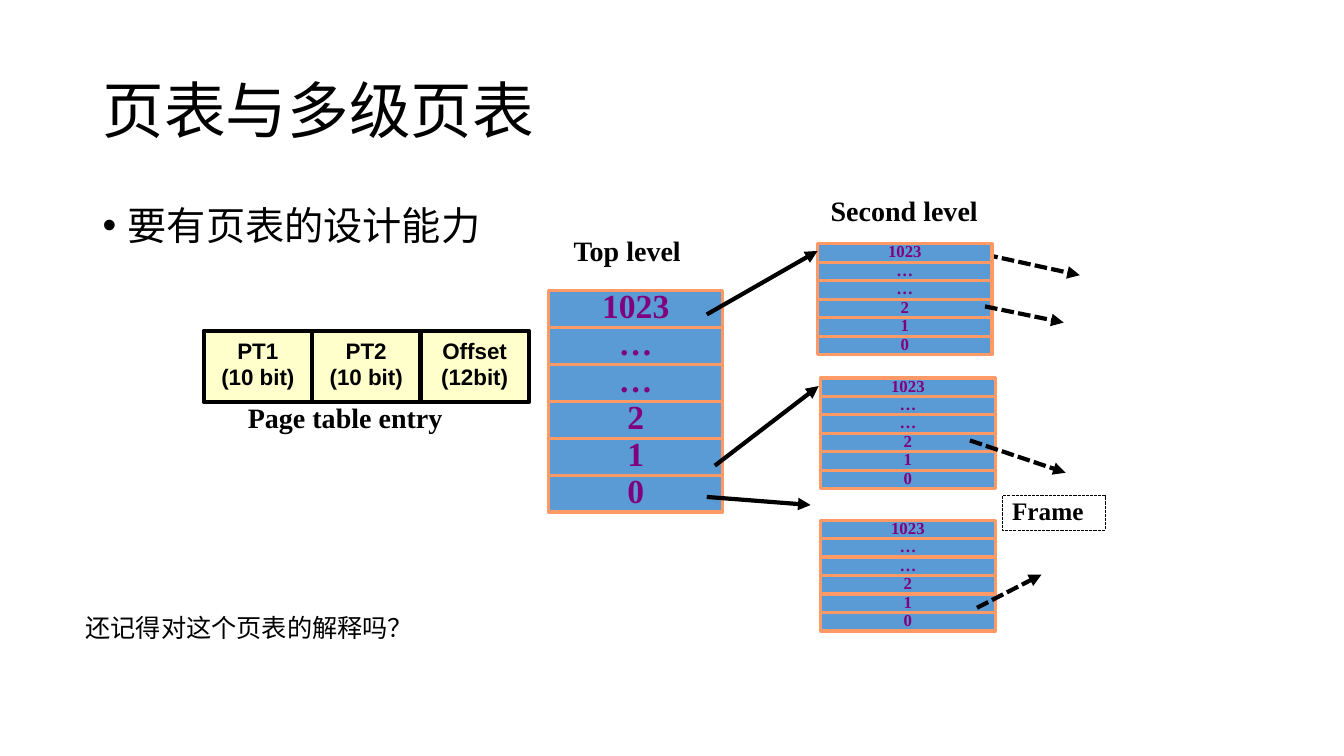
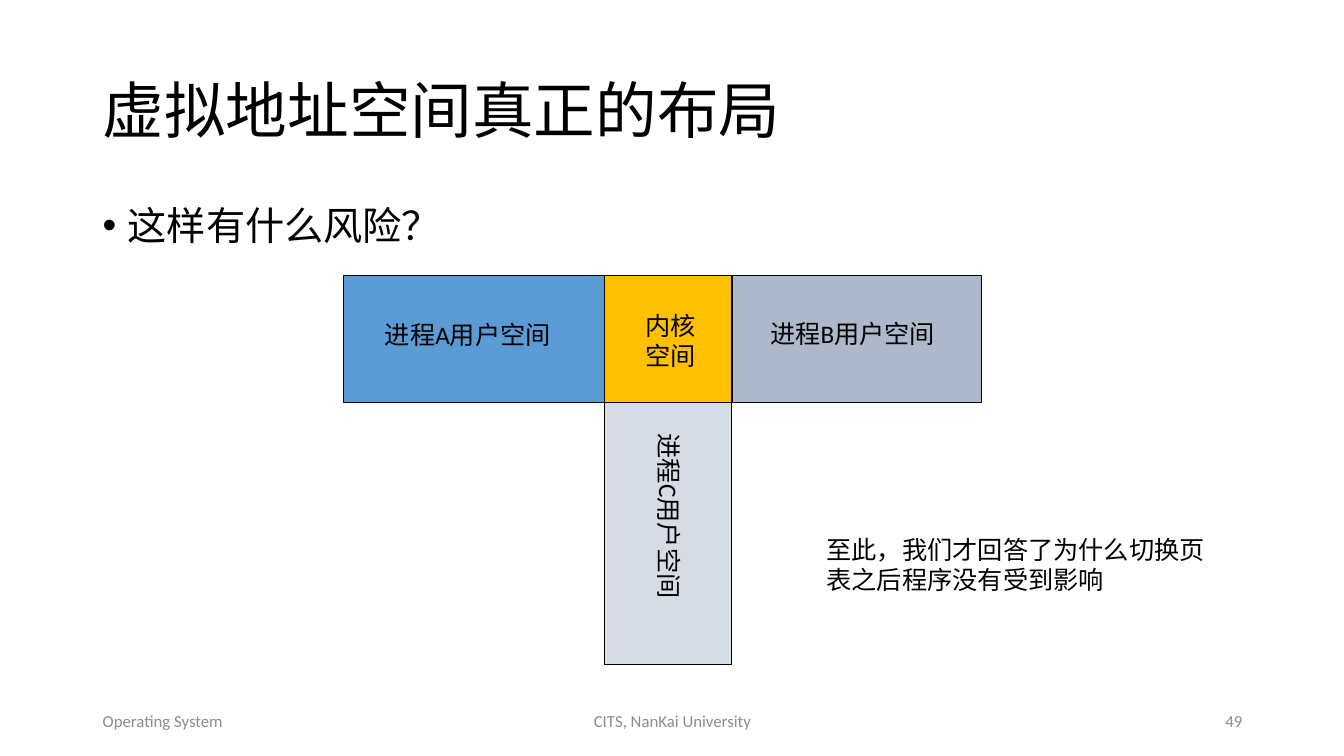
"""Build two slides on multi-level page tables and the address space layout."""
from lxml import etree
from pptx import Presentation
from pptx.dml.color import RGBColor
from pptx.enum.dml import MSO_LINE
from pptx.enum.shapes import MSO_CONNECTOR, MSO_SHAPE
from pptx.enum.text import MSO_ANCHOR, MSO_AUTO_SIZE, PP_ALIGN
from pptx.oxml.ns import qn
from pptx.util import Inches, Pt

RECTANGLE = MSO_SHAPE.RECTANGLE
STRAIGHT = MSO_CONNECTOR.STRAIGHT
DASH = MSO_LINE.SQUARE_DOT
LEFT, CENTER, RIGHT = PP_ALIGN.LEFT, PP_ALIGN.CENTER, PP_ALIGN.RIGHT
TOP, MIDDLE = MSO_ANCHOR.TOP, MSO_ANCHOR.MIDDLE
GROW, FIXED = MSO_AUTO_SIZE.SHAPE_TO_FIT_TEXT, MSO_AUTO_SIZE.NONE

COLORS = {
    "text": "000000",
    "footer": "8C8C8C",
    "entry": "FFFFCC",
    "blue": "5B9BD5",
    "row_line": "FF9966",
    "row_text": "800080",
    "process_b": "ADB9CA",
    "process_c": "D6DCE5",
    "kernel": "FFC000",
}
BODY_FONT, ENTRY_FONT, DIAGRAM_FONT = "Calibri", "Arial", "Times New Roman"
DIAGRAM_LABEL = {"font": DIAGRAM_FONT, "size": 20, "bold": True, "spacing": 0.8, "grow": True}

ROW_LABELS = ["1023", "…", "…", "2", "1", "0"]
TABLE_WIDTH = 1.73


def rgb(color):
    """Return the named palette colour."""
    return RGBColor.from_string(COLORS[color])


def add_bullet(paragraph):
    """Give a paragraph a hanging round bullet."""
    properties = paragraph._p.get_or_add_pPr()
    properties.set("marL", str(Inches(0.25)))
    properties.set("indent", str(-Inches(0.25)))
    etree.SubElement(properties, qn("a:buFont")).set("typeface", "Arial")
    etree.SubElement(properties, qn("a:buChar")).set("char", "•")


def write(shape, text, size=18, color="text", font=BODY_FONT, bold=False, align=LEFT,
          anchor=TOP, spacing=None, gap=0, wrap=True, grow=False, bullet=False):
    """Fill a shape with one formatted paragraph per line of text."""
    frame = shape.text_frame
    frame.word_wrap = wrap
    frame.auto_size = GROW if grow else FIXED
    frame.vertical_anchor = anchor
    for index, line in enumerate(text.split("\n")):
        paragraph = frame.paragraphs[0] if index == 0 else frame.add_paragraph()
        if bullet:
            add_bullet(paragraph)
        paragraph.alignment = align
        if spacing:
            paragraph.line_spacing = spacing
        if index and gap:
            paragraph.space_before = Pt(gap)
        run = paragraph.add_run()
        run.text = line
        run.font.name = font
        run.font.size = Pt(size)
        run.font.bold = bold
        run.font.color.rgb = rgb(color)


def add_label(slide, box, text, rotation=0, **text_format):
    """Add a text box at left, top, width, height."""
    label = slide.shapes.add_textbox(*map(Inches, box))
    label.rotation = rotation
    write(label, text, **text_format)


def add_box(slide, box, fill=None, line="text", weight=0.75):
    """Add an outlined rectangle."""
    rectangle = slide.shapes.add_shape(RECTANGLE, *map(Inches, box))
    rectangle.shadow.inherit = False
    if fill:
        rectangle.fill.solid()
        rectangle.fill.fore_color.rgb = rgb(fill)
    else:
        rectangle.fill.background()
    rectangle.line.color.rgb = rgb(line)
    rectangle.line.width = Pt(weight)
    return rectangle


def add_arrow(slide, start, end, dashed=False):
    """Add a thick arrow between two points."""
    arrow = slide.shapes.add_connector(STRAIGHT, *map(Inches, start + end))
    arrow.line.color.rgb = rgb("text")
    arrow.line.width = Pt(3)
    if dashed:
        arrow.line.dash_style = DASH
    outline = arrow.line._get_or_add_ln()
    etree.SubElement(outline, qn("a:tailEnd")).set("type", "triangle")
    etree.SubElement(arrow._element.spPr, qn("a:effectLst"))


def add_page_table(slide, left, top, height, size):
    """Stack the rows of one page table."""
    row_height = height / len(ROW_LABELS)
    for index, text in enumerate(ROW_LABELS):
        row = add_box(slide, (left, top + index * row_height, TABLE_WIDTH, row_height),
                      "blue", "row_line", 2.25)
        write(row, text, size=size, color="row_text", font=DIAGRAM_FONT, bold=True,
              align=CENTER, anchor=MIDDLE, spacing=0.8, wrap=False)


def add_slide(deck, title, point):
    """Start a slide with its title and bullet point."""
    slide = deck.slides.add_slide(deck.slide_layouts[6])
    add_label(slide, (0.92, 0.4, 11.5, 1.45), title, size=44, anchor=MIDDLE, spacing=0.9)
    add_label(slide, (0.92, 2, 11.5, 4.76), point, size=28, spacing=0.9, bullet=True)
    return slide


def add_footer(slide, number):
    """Add the course, school and page number."""
    parts = [(0.92, 3, "Operating System", LEFT),
             (4.42, 4.5, "CITS, NanKai University", CENTER),
             (9.42, 3, number, RIGHT)]
    for left, width, text, align in parts:
        add_label(slide, (left, 6.95, width, 0.4), text, size=12, color="footer",
                  align=align, anchor=MIDDLE)


def build_page_tables(deck):
    """Show a page table entry and the two table levels."""
    slide = add_slide(deck, "页表与多级页表", "要有页表的设计能力")
    field_width = 1.075
    for index, text in enumerate(["PT1\n(10 bit)", "PT2\n(10 bit)", "Offset\n(12bit)"]):
        field = add_box(slide, (2.02 + index * field_width, 3.28, field_width, 0.71),
                        "entry", weight=3)
        write(field, text, size=16, font=ENTRY_FONT, bold=True, align=CENTER,
              anchor=MIDDLE, spacing=0.8, gap=3.2, wrap=False)
    add_label(slide, (2.36, 3.99, 2.34, 0.37), "Page table entry", **DIAGRAM_LABEL)

    frame_tag = add_box(slide, (9.94, 4.92, 1.02, 0.34))
    frame_tag.line.dash_style = DASH
    write(frame_tag, "Frame", **{**DIAGRAM_LABEL, "size": 18})

    add_arrow(slide, (9.61, 2.49), (10.71, 2.73), dashed=True)
    add_label(slide, (5.59, 2.33, 1.42, 0.37), "Top level", **DIAGRAM_LABEL)
    add_label(slide, (8.14, 1.94, 1.8, 0.37), "Second level", **DIAGRAM_LABEL)
    add_page_table(slide, 5.44, 2.88, 2.2, 24)
    for left, top in [(8.11, 2.42), (8.14, 3.75), (8.14, 5.16)]:
        add_page_table(slide, left, top, 1.1, 12)

    for start, end in [((7.01, 4.93), (8.04, 5.01)),
                       ((7.09, 4.62), (8.12, 3.83)),
                       ((7.01, 3.12), (8.11, 2.49))]:
        add_arrow(slide, start, end)
    for start, end in [((9.77, 3.04), (10.55, 3.2)),
                       ((9.62, 4.37), (10.57, 4.69)),
                       ((9.69, 6.03), (10.33, 5.7))]:
        add_arrow(slide, start, end, dashed=True)
    add_label(slide, (0.75, 6.03, 5.43, 0.4), "还记得对这个页表的解释吗？", grow=True)


def build_address_space(deck):
    """Show three processes sharing the kernel space."""
    slide = add_slide(deck, "虚拟地址空间真正的布局", "这样有什么风险？")
    add_footer(slide, "49")
    length, side, top, kernel_left = 3.86, 1.26, 2.73, 6
    add_box(slide, (5.88, top, length, side), "process_b")
    add_box(slide, (3.41, top, length, side), "blue")
    add_box(slide, (kernel_left, top, side, length), "process_c")
    add_box(slide, (kernel_left, top, side, side), "kernel")
    for process, left, label_top, rotation in [("A", 3.72, 3.12, 0),
                                               ("B", 7.54, 3.11, 0),
                                               ("C", 5.67, 4.97, 90)]:
        add_label(slide, (left, label_top, 1.93, 0.4), f"进程{process}用户空间",
                  rotation=rotation, grow=True)
    add_label(slide, (6.3, 3.03, 1.01, 0.71), "内核\n空间", grow=True)
    add_label(slide, (8.1, 5.25, 3.97, 0.71),
              "至此，我们才回答了为什么切换页表之后程序没有受到影响", grow=True)


def main():
    """Build and save the deck."""
    deck = Presentation()
    deck.slide_width, deck.slide_height = Inches(13.33), Inches(7.5)
    build_page_tables(deck)
    build_address_space(deck)
    deck.save("out.pptx")


if __name__ == "__main__":
    main()
